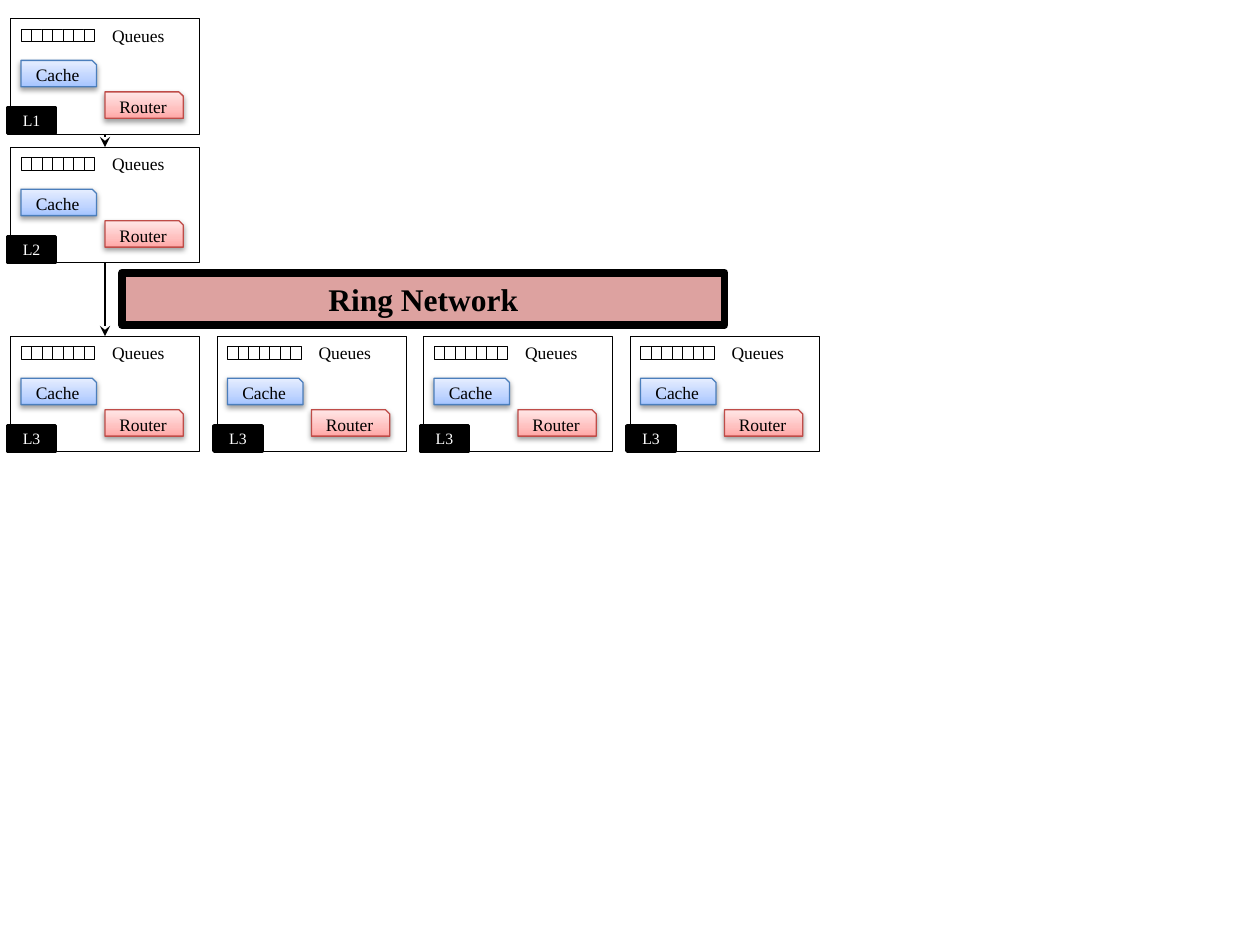
from lxml import etree
from pptx import Presentation
from pptx.dml.color import RGBColor
from pptx.enum.shapes import MSO_CONNECTOR, MSO_SHAPE
from pptx.enum.text import MSO_ANCHOR, PP_ALIGN
from pptx.oxml import parse_xml
from pptx.oxml.ns import nsdecls, qn
from pptx.util import Pt

RECT = MSO_SHAPE.RECTANGLE
SNIPPED = MSO_SHAPE.SNIP_1_RECTANGLE
STRAIGHT = MSO_CONNECTOR.STRAIGHT
MIDDLE = MSO_ANCHOR.MIDDLE
CENTER = PP_ALIGN.CENTER

BLACK = RGBColor(0x00, 0x00, 0x00)
WHITE = RGBColor(0xFF, 0xFF, 0xFF)
BLUE_LINE = RGBColor(0x4B, 0x7E, 0xBC)
RED_LINE = RGBColor(0xBF, 0x4C, 0x48)
RING_RED = RGBColor(0xC0, 0x50, 0x4D)
BLUE_STOPS = [(0, RGBColor(0xA4, 0xC4, 0xFF)), (35, RGBColor(0xBF, 0xD4, 0xFF)),
              (100, RGBColor(0xE6, 0xEE, 0xFF))]
RED_STOPS = [(0, RGBColor(0xFF, 0xA6, 0xA5)), (35, RGBColor(0xFF, 0xC0, 0xBF)),
             (100, RGBColor(0xFF, 0xE7, 0xE7))]
FONT = "Times New Roman"

# Each level: label, top of its nodes, number of nodes side by side
LEVELS = [("L1", 10.5, 1), ("L2", 84.1, 1), ("L3", 192.1, 4)]
NODE_LEFT, NODE_PITCH = 6, 118
NODE_WIDTH, NODE_HEIGHT = 108, 66

# Parts of a node: text, place relative to the node, gradient, outline
UNITS = [("Cache", (6, 24, 43.2, 15.1), BLUE_STOPS, BLUE_LINE),
         ("Router", (54, 42, 44.8, 15.1), RED_STOPS, RED_LINE)]
QUEUE_CELLS = 7
QUEUE_CELL = (6, 6, 6, 7)
QUEUE_LABEL = ("Queues", (51, 0, 51, 19.5))
BADGE = (-1.7, 51.2, 27.4, 14.5)

RING = ("Ring Network", (69.8, 155.8, 344.2, 30))
ARROW_X = 60


def write(shape, text, size, color=BLACK, bold=False, align=CENTER):
    frame = shape.text_frame
    frame.word_wrap = True
    para = frame.paragraphs[0]
    para.text = text
    para.alignment = align
    para.font.name = FONT
    para.font.size = Pt(size)
    para.font.bold = bold
    para.font.color.rgb = color


def add_box(shapes, kind, place, fill, line, width):
    box = shapes.add_shape(kind, *map(Pt, place))
    box.shadow.inherit = False
    box.fill.solid()
    box.fill.fore_color.rgb = fill
    box.line.color.rgb = line
    box.line.width = Pt(width)
    box.text_frame.vertical_anchor = MIDDLE
    return box


def shade(box, stops):
    """Give the box an upward gradient and a soft shadow below it."""
    box.fill.gradient()
    gradient = box._element.spPr.find(qn("a:gradFill"))
    marks = "".join(f'<a:gs pos="{pos * 1000}"><a:srgbClr val="{color}"/></a:gs>'
                    for pos, color in stops)
    gradient.getparent().replace(gradient, parse_xml(
        f'<a:gradFill {nsdecls("a")} rotWithShape="1"><a:gsLst>{marks}</a:gsLst>'
        '<a:lin ang="16200000" scaled="0"/></a:gradFill>'))
    box._element.spPr.find(qn("a:effectLst")).append(parse_xml(
        f'<a:outerShdw {nsdecls("a")} blurRad="{Pt(3.1)}" dist="{Pt(1.6)}" '
        'dir="5400000" rotWithShape="0"><a:srgbClr val="000000">'
        '<a:alpha val="38000"/></a:srgbClr></a:outerShdw>'))


def add_node(page, label, left, top):
    shapes = page.shapes.add_group_shape().shapes

    def put(place):
        x, y, width, height = place
        return left + x, top + y, width, height

    add_box(shapes, RECT, put((0, 0, NODE_WIDTH, NODE_HEIGHT)), WHITE, BLACK, 0.25)
    x, y, width, height = QUEUE_CELL
    for index in range(QUEUE_CELLS):
        place = put((x + index * width, y, width, height))
        add_box(shapes, RECT, place, WHITE, BLACK, 0.25)
    for text, place, stops, outline in UNITS:
        unit = add_box(shapes, SNIPPED, put(place), WHITE, outline, 0.75)
        shade(unit, stops)
        write(unit, text, 10)
    text, place = QUEUE_LABEL
    write(shapes.add_textbox(*map(Pt, put(place))), text, 10, align=PP_ALIGN.LEFT)
    badge = add_box(shapes, RECT, put(BADGE), BLACK, BLACK, 2)
    write(badge, label, 9, WHITE)


def add_arrow(page, start, end):
    arrow = page.shapes.add_connector(
        STRAIGHT, Pt(ARROW_X), Pt(start), Pt(ARROW_X), Pt(end))
    arrow.line.color.rgb = BLACK
    arrow.line.width = Pt(0.75)
    etree.SubElement(arrow.line._get_or_add_ln(), qn("a:tailEnd"), type="stealth")
    etree.SubElement(arrow._element.spPr, qn("a:effectLst"))


def main():
    deck = Presentation()
    deck.slide_width, deck.slide_height = Pt(720), Pt(540)
    page = deck.slides.add_slide(deck.slide_layouts[6])

    for label, top, count in LEVELS:
        for column in range(count):
            add_node(page, label, NODE_LEFT + column * NODE_PITCH, top)

    text, place = RING
    ring = add_box(page.shapes, RECT, place, RING_RED, BLACK, 4.5)
    color = ring._element.spPr.find(qn("a:solidFill"))[0]
    etree.SubElement(color, qn("a:alpha"), val="53000")
    write(ring, text, 18, bold=True)

    for (_, upper, _), (_, lower, _) in zip(LEVELS, LEVELS[1:]):
        add_arrow(page, upper + NODE_HEIGHT, lower)

    deck.save("out.pptx")


if __name__ == "__main__":
    main()
